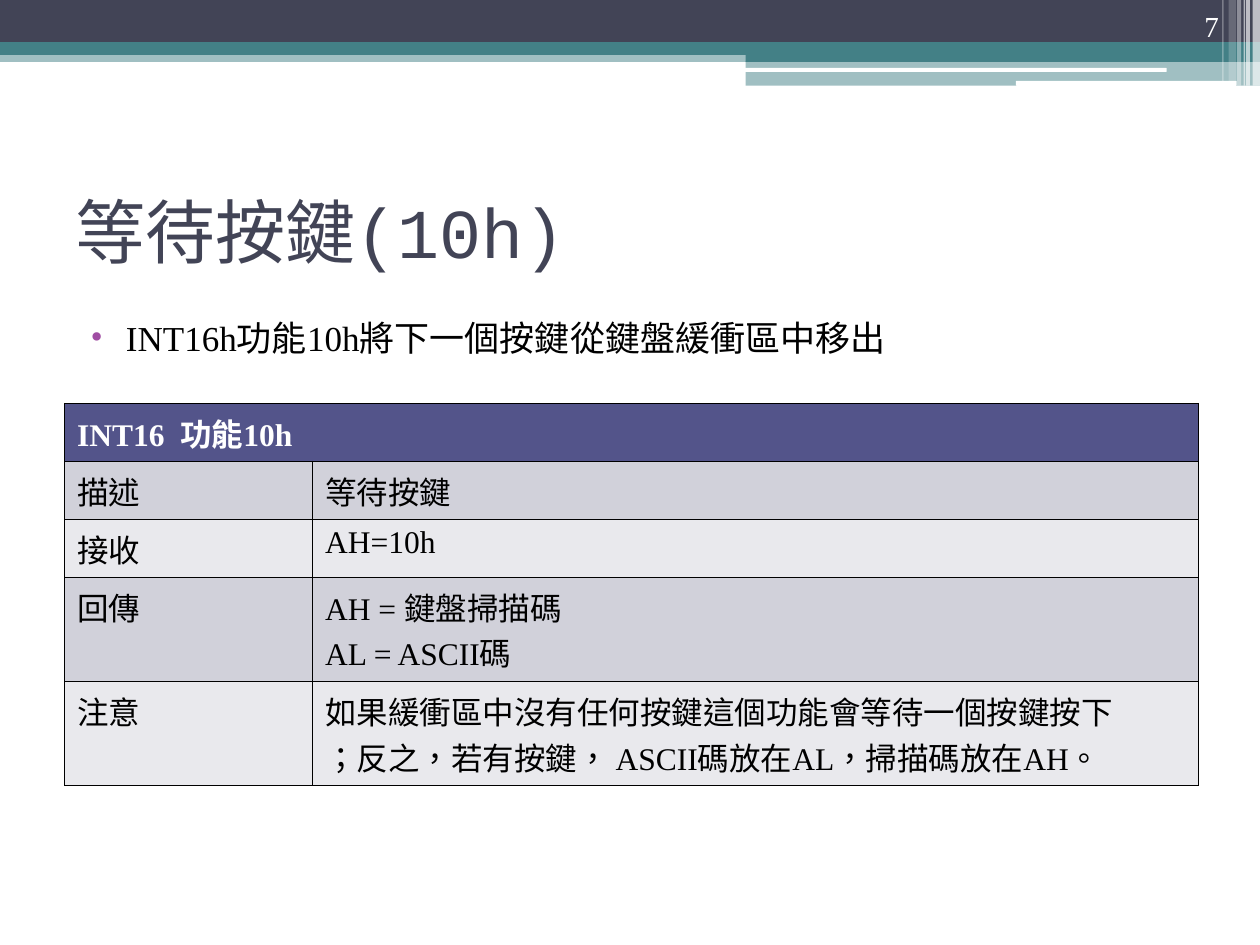
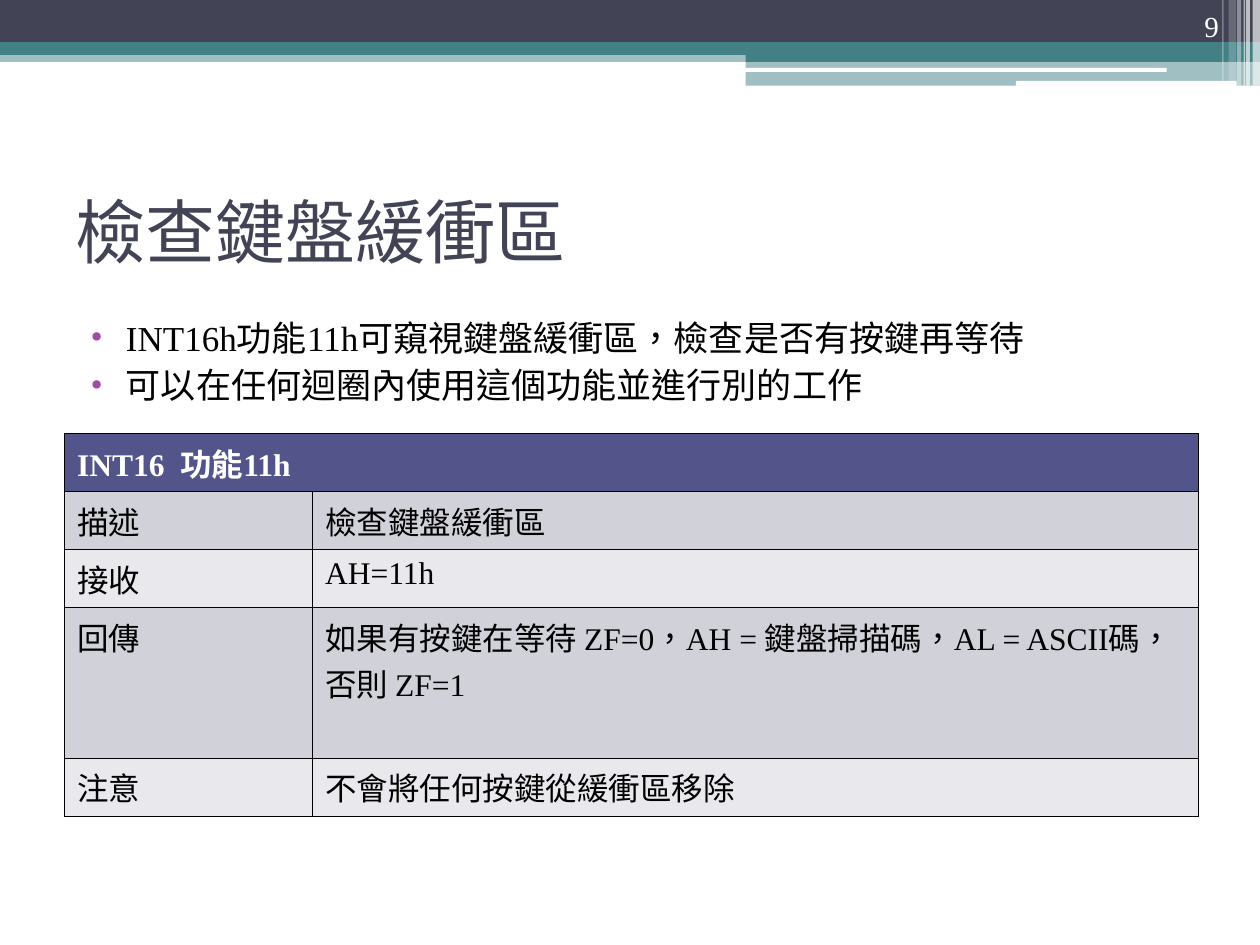
from dataclasses import dataclass

from lxml import etree
from pptx import Presentation
from pptx import util as u
from pptx.dml.color import RGBColor
from pptx.enum import shapes, text
from pptx.oxml import ns
from pptx.util import Cm

COLOURS = {
    "ink": "424456",
    "teal": "438086",
    "white": "FFFFFF",
    "black": "000000",
    "bullet": "A04DA3",
    "header": "53548A",
    "row_dark": "D1D1DA",
    "row_light": "E9E9ED",
}
SERIF, CJK, BODY_CJK, MONO = "Times New Roman", "Noto Sans CJK SC", "Calibri", "Courier New"
ROW_HEIGHT, EXTRA_LINE = 1.17, 0.93
BORDER_WIDTH = u.Pt(0.45)


@dataclass(frozen=True)
class Band:
    left: float
    top: float
    width: float
    height: float
    colour: str
    opacity: int = 100
    rounded: bool = False


@dataclass(frozen=True)
class TextStyle:
    size: float
    colour: str
    latin: str = SERIF
    cjk: str = CJK
    bold: bool = False


@dataclass(frozen=True)
class Row:
    label: str
    paragraphs: tuple[str, ...]
    lines: int = 1


@dataclass(frozen=True)
class Page:
    """Runs inside a paragraph are separated by a vertical bar."""
    number: int
    title: str
    bullets: tuple[str, ...]
    table_top: float
    table_title: str
    rows: tuple[Row, ...]


BANDS = (
    Band(0, 1.02, 25.4, 0.23, "teal", 50),
    Band(0, 0, 25.4, 0.86, "ink"),
    Band(0, 0.85, 25.4, 0.26, "teal"),
    Band(15.03, 0.99, 10.37, 0.26, "teal"),
    Band(15.03, 1.23, 10.37, 0.5, "teal", 50),
    Band(15.01, 1.37, 8.51, 0.08, "white", rounded=True),
    Band(20.48, 1.63, 4.45, 0.1, "white", rounded=True),
    # Thin vertical stripes at the right edge
    Band(25.25, 0, 0.15, 1.73, "white", 65),
    Band(25.12, 0, 0.08, 1.73, "white", 65),
    Band(25.07, 0, 0.03, 1.73, "white", 60),
    Band(24.94, 0, 0.08, 1.73, "white", 40),
    Band(24.77, 0, 0.15, 1.63, "white", 20),
    Band(24.64, 0, 0.03, 1.63, "white", 30),
)

TITLE = TextStyle(40, "ink", MONO, MONO)
BODY = TextStyle(20, "black", cjk=BODY_CJK)
CELL = TextStyle(18, "black")
HEADER = TextStyle(18, "white", bold=True)
NUMBER = TextStyle(16.6, "white", cjk=SERIF)

PAGES = (
    Page(
        7, "等待按鍵(10h)",
        ("INT16h|功能|10h|將下一個按鍵從鍵盤緩衝區中移出",),
        8.13, "INT16  |功能|10h",
        (
            Row("描述", ("等待按鍵",)),
            Row("接收", ("AH=10h",)),
            Row("回傳", ("AH = |鍵盤掃描碼", "AL = ASCII|碼"), 2),
            Row("注意", (
                "如果緩衝區中沒有任何按鍵這個功能會等待一個按鍵按下",
                "；反之，|若有按鍵， ASCII碼放在AL，掃描碼放在AH|。",
            ), 2),
        ),
    ),
    Page(
        9, "檢查鍵盤緩衝區",
        ("INT16h|功能|11h|可窺視鍵盤緩衝區，檢查是否有按鍵再等待",
         "可以在任何迴圈內使用這個功能並進行別的工作"),
        8.74, "INT16  |功能|11h",
        (
            Row("描述", ("檢查鍵盤緩衝區",)),
            Row("接收", ("AH=11h",)),
            Row("回傳", (
                "如果有按鍵在等待 |ZF=0|，|AH = |鍵盤掃描碼，|AL = ASCII|碼，",
                "否則 |ZF=1",
            ), 3),
            Row("注意", ("不會將任何按鍵從緩衝區移除",)),
        ),
    ),
)


def rgb(name: str) -> RGBColor:
    return RGBColor.from_string(COLOURS[name])


def add_child(parent, tag: str, **attributes: str):
    return etree.SubElement(parent, ns.qn(tag), attributes)


# Text
def add_runs(paragraph, content: str, style: TextStyle) -> None:
    """Runs holding Latin letters take the Latin font, the others the CJK font."""
    for piece in content.split("|"):
        run = paragraph.add_run()
        run.text = piece
        font = run.font
        font.size, font.bold = u.Pt(style.size), style.bold
        font.color.rgb = rgb(style.colour)
        has_latin = any(letter.isascii() and letter.isalpha() for letter in piece)
        font.name = style.latin if has_latin else style.cjk
        font._element.set("lang", "zh-TW")
        add_child(font._element, "a:ea", typeface=style.cjk if style.cjk != MONO else CJK)


def fill_frame(frame, paragraphs: tuple[str, ...], style: TextStyle) -> None:
    for index, content in enumerate(paragraphs):
        paragraph = frame.add_paragraph() if index else frame.paragraphs[0]
        add_runs(paragraph, content, style)


def add_text_frame(slide, left: float, top: float, width: float, height: float):
    frame = slide.shapes.add_textbox(Cm(left), Cm(top), Cm(width), Cm(height)).text_frame
    frame.word_wrap = True
    return frame


# Shared parts of each slide
def add_band(slide, band: Band) -> None:
    kind = shapes.MSO_SHAPE.ROUNDED_RECTANGLE if band.rounded else shapes.MSO_SHAPE.RECTANGLE
    shape = slide.shapes.add_shape(
        kind, Cm(band.left), Cm(band.top), Cm(band.width), Cm(band.height))
    shape.shadow.inherit = False
    shape.line.fill.background()
    shape.fill.solid()
    shape.fill.fore_color.rgb = rgb(band.colour)
    if band.opacity < 100:
        colour = shape.element.find(".//" + ns.qn("a:srgbClr"))
        add_child(colour, "a:alpha", val=str(band.opacity * 1000))


def set_title(slide, content: str) -> None:
    title = slide.shapes.title
    title.left, title.top, title.width, title.height = Cm(1.27), Cm(3.16), Cm(22.86), Cm(2.97)
    title.text_frame.vertical_anchor = text.MSO_ANCHOR.MIDDLE
    fill_frame(title.text_frame, (content,), TITLE)
    title.text_frame.paragraphs[0].alignment = text.PP_ALIGN.LEFT


def add_page_number(slide, number: int) -> None:
    frame = add_text_frame(slide, 22.71, 0, 2.11, 1)
    frame.vertical_anchor = text.MSO_ANCHOR.BOTTOM
    fill_frame(frame, (str(number),), NUMBER)
    paragraph = frame.paragraphs[0]
    paragraph.alignment, paragraph.line_spacing = text.PP_ALIGN.RIGHT, 0.9


def add_bullets(slide, bullets: tuple[str, ...]) -> None:
    frame = add_text_frame(slide, 1.27, 6.25, 22.86, 12.01)
    fill_frame(frame, bullets, BODY)
    for paragraph in frame.paragraphs:
        paragraph.space_before = u.Pt(3)
        properties = paragraph._p.get_or_add_pPr()
        properties.set("marL", str(Cm(1.02)))
        properties.set("indent", str(Cm(-0.71)))
        colour = add_child(properties, "a:buClr")
        add_child(colour, "a:srgbClr", val=COLOURS["bullet"])
        add_child(properties, "a:buFont", typeface=SERIF)
        add_child(properties, "a:buChar", char="•")


# Function table
def format_cell(cell, paragraphs: tuple[str, ...], style: TextStyle, fill: str) -> None:
    fill_frame(cell.text_frame, paragraphs, style)
    properties = cell._tc.get_or_add_tcPr()
    for side in ("L", "R", "T", "B"):
        border = add_child(properties, f"a:ln{side}", w=str(BORDER_WIDTH))
        solid = add_child(border, "a:solidFill")
        add_child(solid, "a:srgbClr", val=COLOURS["black"])
    cell.fill.solid()
    cell.fill.fore_color.rgb = rgb(fill)


def add_function_table(slide, page: Page) -> None:
    heights = [ROW_HEIGHT] + [ROW_HEIGHT + EXTRA_LINE * (row.lines - 1) for row in page.rows]
    table = slide.shapes.add_table(
        len(heights), 2, Cm(1.3), Cm(page.table_top), Cm(22.86), Cm(sum(heights))).table
    for column, width in zip(table.columns, (5, 17.86)):
        column.width = Cm(width)
    for table_row, height in zip(table.rows, heights):
        table_row.height = Cm(height)

    table.cell(0, 0).merge(table.cell(0, 1))
    format_cell(table.cell(0, 0), (page.table_title,), HEADER, "header")
    format_cell(table.cell(0, 1), (), HEADER, "header")
    for index, row in enumerate(page.rows, start=1):
        fill = "row_dark" if index % 2 else "row_light"
        format_cell(table.cell(index, 0), (row.label,), CELL, fill)
        format_cell(table.cell(index, 1), row.paragraphs, CELL, fill)


def add_page(presentation, page: Page) -> None:
    slide = presentation.slides.add_slide(presentation.slide_layouts.get_by_name("Title Only"))
    for band in BANDS:
        add_band(slide, band)
    set_title(slide, page.title)
    add_page_number(slide, page.number)
    add_bullets(slide, page.bullets)
    add_function_table(slide, page)


def main() -> None:
    presentation = Presentation()
    presentation.slide_width, presentation.slide_height = Cm(25.4), Cm(19.05)
    for page in PAGES:
        add_page(presentation, page)
    presentation.save("out.pptx")


if __name__ == "__main__":
    main()
